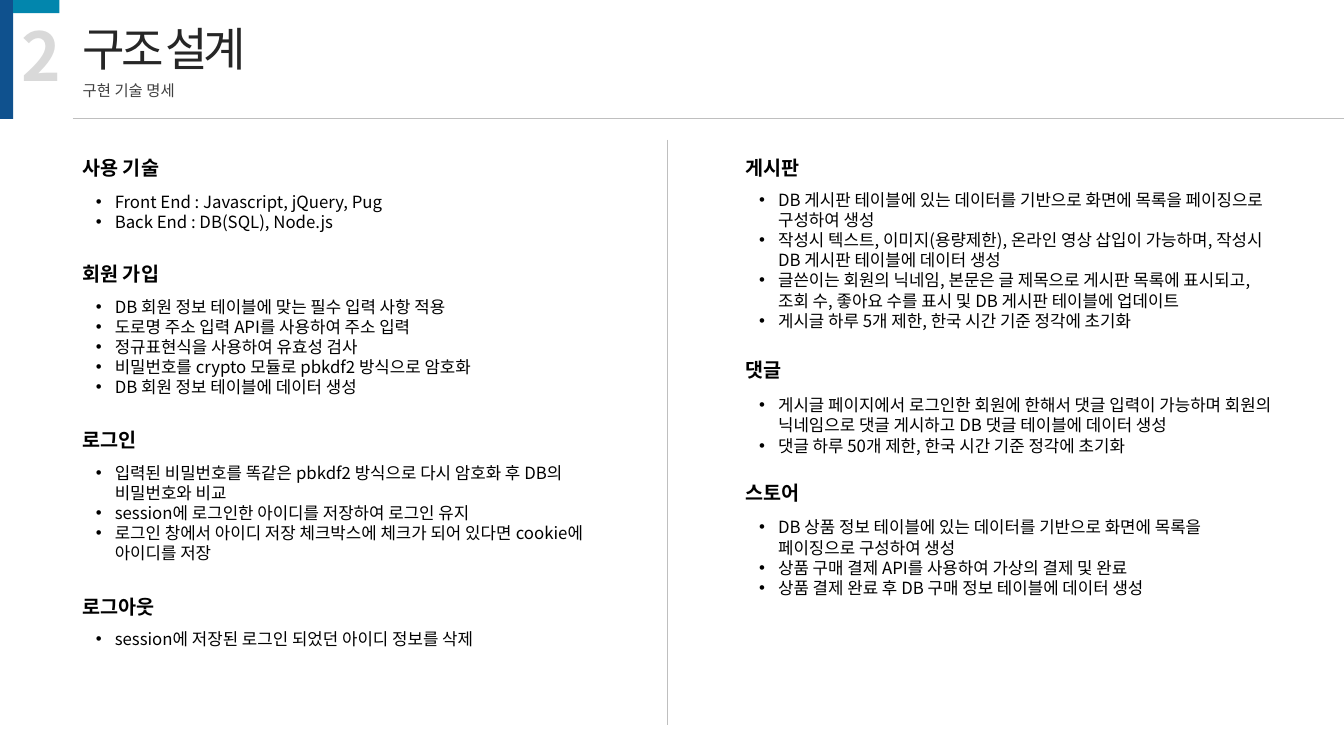
"""Build the slide that lists the implementation technologies of a web service."""
from lxml import etree
from pptx import Presentation
from pptx.dml.color import RGBColor
from pptx.enum.shapes import MSO_CONNECTOR, MSO_SHAPE
from pptx.enum.text import MSO_ANCHOR, MSO_AUTO_SIZE, PP_ALIGN
from pptx.oxml.ns import qn
from pptx.util import Pt

STRAIGHT = MSO_CONNECTOR.STRAIGHT
RECTANGLE = MSO_SHAPE.RECTANGLE
FIT_SHAPE = MSO_AUTO_SIZE.SHAPE_TO_FIT_TEXT
TOP = MSO_ANCHOR.TOP
LEFT = PP_ALIGN.LEFT

FONT = "Noto Sans CJK KR"
COLORS = {
    "navy": "0F518E", "teal": "0286AD", "title": "262626", "subtitle": "404040",
    "number": "D9D9D9", "rule": "BFBFBF", "body": "000000",
}
FORMATS = {
    "title": {"size": Pt(33), "bold": False},
    "subtitle": {"size": Pt(11), "bold": False},
    "number": {"size": Pt(48), "bold": True},
    "heading": {"size": Pt(14), "bold": True},
    "body": {"size": Pt(12), "bold": False},
}

TITLE = "구조 설계"
SUBTITLE = "구현 기술 명세"
NUMBER = "2"
COLUMNS = [
    (51.8, [
        ("사용 기술", 108, 133.2, [
            "Front End : Javascript, jQuery, Pug",
            "Back End : DB(SQL), Node.js",
        ]),
        ("회원 가입", 183.6, 208.1, [
            "DB 회원 정보 테이블에 맞는 필수 입력 사항 적용",
            "도로명 주소 입력 API를 사용하여 주소 입력",
            "정규표현식을 사용하여 유효성 검사",
            "비밀번호를 crypto 모듈로 pbkdf2 방식으로 암호화",
            "DB 회원 정보 테이블에 데이터 생성",
        ]),
        ("로그인", 302.4, 326.9, [
            "입력된 비밀번호를 똑같은 pbkdf2 방식으로 다시 암호화 후 DB의 비밀번호와 비교",
            "session에 로그인한 아이디를 저장하여 로그인 유지",
            "로그인 창에서 아이디 저장 체크박스에 체크가 되어 있다면 cookie에 아이디를 저장",
        ]),
        ("로그아웃", 421.2, 445.7, [
            "session에 저장된 로그인 되었던 아이디 정보를 삭제",
        ]),
    ]),
    (525.6, [
        ("게시판", 108, 131.8, [
            "DB 게시판 테이블에 있는 데이터를 기반으로 화면에 목록을 페이징으로 구성하여 생성",
            "작성시 텍스트, 이미지(용량제한), 온라인 영상 삽입이 가능하며, "
            "작성시 DB 게시판 테이블에 데이터 생성",
            "글쓴이는 회원의 닉네임, 본문은 글 제목으로 게시판 목록에 표시되고, "
            "조회 수, 좋아요 수를 표시 및 DB 게시판 테이블에 업데이트",
            "게시글 하루 5개 제한, 한국 시간 기준 정각에 초기화",
        ]),
        ("댓글", 252, 278.6, [
            "게시글 페이지에서 로그인한 회원에 한해서 댓글 입력이 가능하며 "
            "회원의 닉네임으로 댓글 게시하고 DB 댓글 테이블에 데이터 생성",
            "댓글 하루 50개 제한, 한국 시간 기준 정각에 초기화",
        ]),
        ("스토어", 339.8, 365.8, [
            "DB 상품 정보 테이블에 있는 데이터를 기반으로 화면에 목록을 페이징으로 구성하여 생성",
            "상품 구매 결제 API를 사용하여 가상의 결제 및 완료",
            "상품 결제 완료 후 DB 구매 정보 테이블에 데이터 생성",
        ]),
    ]),
]
BARS = [("navy", (0, 0, 9.4, 85)), ("teal", (9.4, 0, 33, 9.4))]
RULES = [(52, 84.5, 960, 84.5), (477, 100, 477, 518)]

COLUMN_WIDTH = 387.4
HEADING_HEIGHT = 24.5
LIST_SHIFT = 9.6
LINE_HEIGHT = 14.4
INSETS = 7.2
INDENT = 13.5


def color(name):
    return RGBColor.from_string(COLORS[name])


def add_bullet(para):
    props = para._p.get_or_add_pPr()
    props.set("marL", str(Pt(INDENT)))
    props.set("indent", str(Pt(-INDENT)))
    etree.SubElement(props, qn("a:buFont")).set("typeface", "Arial")
    etree.SubElement(props, qn("a:buChar")).set("char", "•")


def write(box, lines, style, tint, wrap=True, bullets=False, spacing=None):
    frame = box.text_frame
    frame.word_wrap = wrap
    frame.auto_size = FIT_SHAPE
    frame.vertical_anchor = TOP
    for index, line in enumerate(lines):
        para = frame.paragraphs[0] if index == 0 else frame.add_paragraph()
        para.alignment = LEFT
        if bullets:
            add_bullet(para)
        span = para.add_run()
        span.text = line
        for name, value in FORMATS[style].items():
            setattr(span.font, name, value)
        span.font.name = FONT
        span.font.color.rgb = color(tint)
        props = span._r.get_or_add_rPr()
        props.set("kern", "0")
        etree.SubElement(props, qn("a:ea")).set("typeface", FONT)
        if spacing:
            props.set("spc", str(spacing))


def add_text(page, place, lines, style, tint, **options):
    box = page.shapes.add_textbox(*map(Pt, place))
    write(box, lines, style, tint, **options)


def add_bar(page, tint, place):
    bar = page.shapes.add_shape(RECTANGLE, *map(Pt, place))
    bar.shadow.inherit = False
    bar.fill.solid()
    bar.fill.fore_color.rgb = color(tint)
    bar.line.fill.background()


def add_rule(page, ends):
    rule = page.shapes.add_connector(STRAIGHT, *map(Pt, ends))
    rule.line.color.rgb = color("rule")
    rule.line.width = Pt(0.5)
    etree.SubElement(rule._element.spPr, qn("a:effectLst"))


def add_section(page, left, section):
    heading, heading_top, list_top, items = section
    add_text(page, (left, heading_top, COLUMN_WIDTH, HEADING_HEIGHT),
             [heading], "heading", "body")
    height = len(items) * LINE_HEIGHT + INSETS
    add_text(page, (left + LIST_SHIFT, list_top, COLUMN_WIDTH, height),
             items, "body", "body", bullets=True)


def main():
    deck = Presentation()
    deck.slide_width, deck.slide_height = Pt(960), Pt(540)
    page = deck.slides.add_slide(deck.slide_layouts[5])
    for tint, place in BARS:
        add_bar(page, tint, place)
    title = page.shapes.title
    title.left, title.top, title.width, title.height = map(Pt, (52, 10.8, 302.4, 48.2))
    write(title, [TITLE], "title", "title", spacing=-300)
    add_text(page, (52, 54.7, 89.3, 20.9), [SUBTITLE], "subtitle", "subtitle", wrap=False)
    add_text(page, (8.6, 6.5, 42.5, 65.5), [NUMBER], "number", "number", wrap=False)
    for ends in RULES:
        add_rule(page, ends)
    for left, sections in COLUMNS:
        for section in sections:
            add_section(page, left, section)
    deck.save("out.pptx")


if __name__ == "__main__":
    main()
